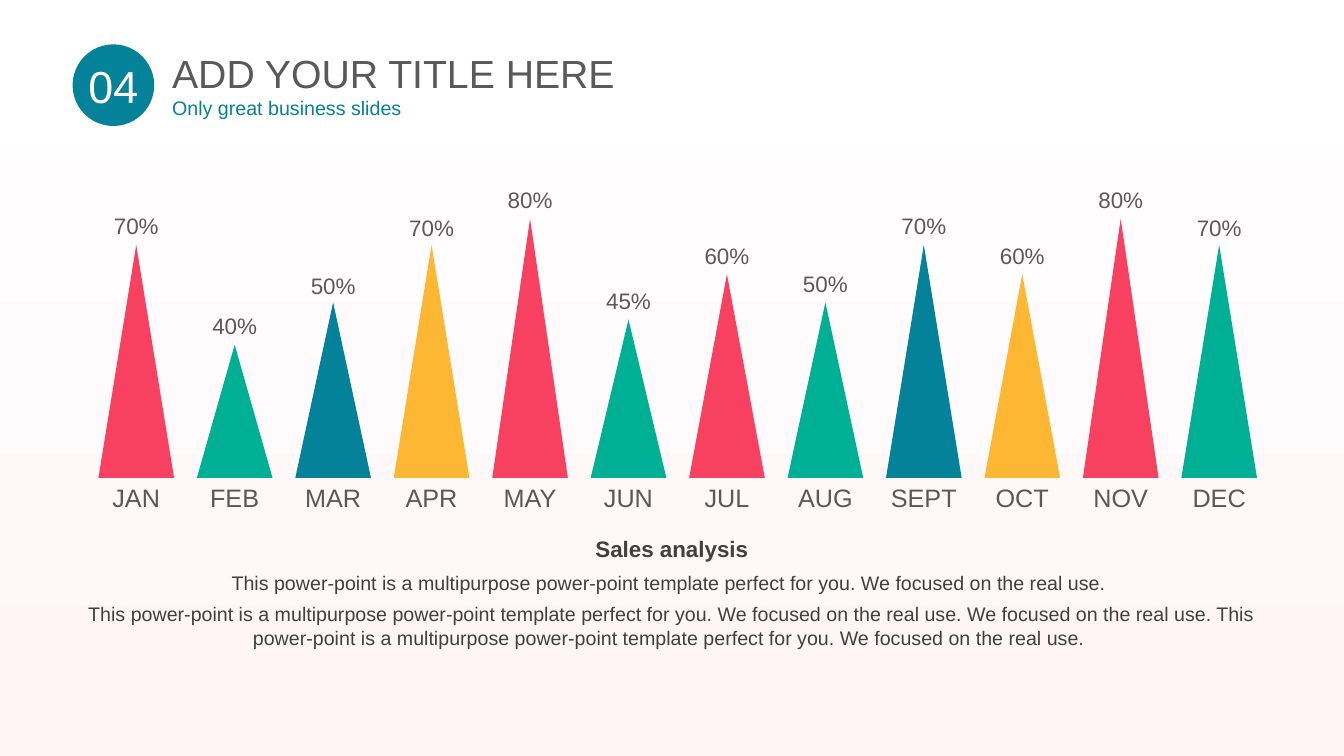
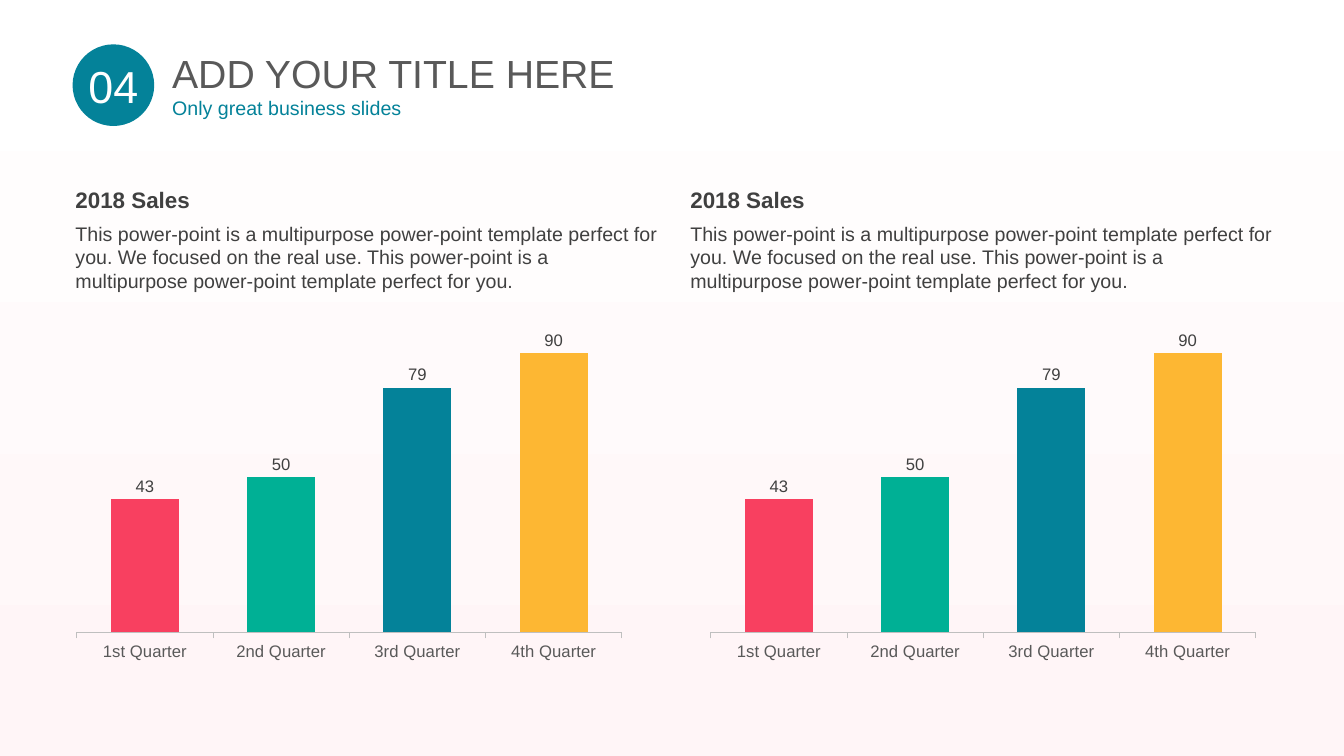
from pptx import Presentation, util as u
from pptx.chart import data
from pptx.dml import color
from pptx.enum import chart as charts, shapes, text

COLORS = {
    "white": "FFFFFF", "blush": "FFF5F7", "red": "F84060", "green": "00B095",
    "blue": "048299", "amber": "FDB733", "gray": "595959", "dark": "404040",
    "axis": "BFBFBF",
}
FONT = "Arial"
COLUMNS, ROWS = 80, 45
LEFT, CENTER = text.PP_ALIGN.LEFT, text.PP_ALIGN.CENTER

HEIGHTS = {40: 7.92, 45: 9.42, 50: 10.44, 60: 12.12, 70: 13.86, 80: 15.42}
MONTHS = [
    ("JAN", 70, "red", 0), ("FEB", 40, "green", 0),
    ("MAR", 50, "blue", 0.12), ("APR", 70, "amber", 0.12),
    ("MAY", 80, "red", 0), ("JUN", 45, "green", 0),
    ("JUL", 60, "red", 0), ("AUG", 50, "green", 0),
    ("SEPT", 70, "blue", 0), ("OCT", 60, "amber", 0),
    ("NOV", 80, "red", 0), ("DEC", 70, "green", 0.12),
]
QUARTERS = [
    ("1st Quarter", 43, "red"), ("2nd Quarter", 50, "green"),
    ("3rd Quarter", 79, "blue"), ("4th Quarter", 90, "amber"),
]
TEMPLATE = "This power-point is a multipurpose power-point template perfect for you."
FOCUS = "We focused on the real use."


def rgb(name):
    return color.RGBColor.from_string(COLORS[name])


class Deck:
    def __init__(self):
        self.presentation = Presentation()
        self.presentation.slide_width = u.Inches(13.33)
        self.presentation.slide_height = u.Inches(7.5)
        self.slide = None
        fill = self.presentation.slide_master.background.fill
        fill.gradient()
        fill.gradient_angle = 270
        for stop, name in zip(fill.gradient_stops, ("white", "blush")):
            stop.color.rgb = rgb(name)

    def place(self, left, top, width, height):
        column = self.presentation.slide_width / COLUMNS
        row = self.presentation.slide_height / ROWS
        return [u.Emu(round(length)) for length in
                (left * column, top * row, width * column, height * row)]

    def style(self, font, size, name, bold=False):
        font.name = FONT
        font.size = u.Pt(size)
        font.bold = bold
        font.color.rgb = rgb(name)

    def add_lines(self, frame, lines, align=LEFT, gap=0):
        for index, (words, size, name, bold) in enumerate(lines):
            paragraph = frame.add_paragraph() if index else frame.paragraphs[0]
            paragraph.alignment = align
            paragraph.space_before = u.Pt(gap if index else 0)
            run = paragraph.add_run()
            run.text = words
            self.style(run.font, size, name, bold)

    def text(self, box, lines, align=LEFT, gap=0):
        frame = self.slide.shapes.add_textbox(*self.place(*box)).text_frame
        frame.word_wrap = True
        self.add_lines(frame, lines, align, gap)

    def shape(self, kind, box, name):
        shape = self.slide.shapes.add_shape(kind, *self.place(*box))
        shape.shadow.inherit = False
        shape.fill.solid()
        shape.fill.fore_color.rgb = rgb(name)
        shape.line.fill.background()
        return shape

    def badge(self, number, box):
        frame = self.shape(shapes.MSO_SHAPE.OVAL, box, "blue").text_frame
        frame.margin_left = frame.margin_right = 0
        frame.margin_top = frame.margin_bottom = 0
        frame.word_wrap = False
        frame.vertical_anchor = text.MSO_ANCHOR.MIDDLE
        self.add_lines(frame, [(number, 32, "white", False)], CENTER)

    def start_slide(self, number, title, subtitle):
        layout = self.presentation.slide_layouts[6]
        self.slide = self.presentation.slides.add_slide(layout)
        self.text((9.66, 2.64, 30.12, 4.86), [(title, 28, "gray", False),
                                              (subtitle, 14, "blue", False)])
        self.badge(number, (4.32, 2.64, 4.86, 4.86))

    def column_chart(self, box, points):
        chart_data = data.CategoryChartData()
        chart_data.categories = [label for label, _, _ in points]
        chart_data.add_series("Series 1", [value for _, value, _ in points])
        chart = self.slide.shapes.add_chart(
            charts.XL_CHART_TYPE.COLUMN_CLUSTERED, *self.place(*box), chart_data).chart
        chart.has_legend = False
        chart.has_title = False
        self.style(chart.font, 11.9, "gray")
        chart.value_axis.visible = False
        chart.value_axis.has_major_gridlines = False
        chart.value_axis.minimum_scale = 0
        chart.value_axis.maximum_scale = 100
        axis = chart.category_axis
        axis.major_tick_mark = charts.XL_TICK_MARK.OUTSIDE
        axis.format.line.color.rgb = rgb("axis")
        axis.format.line.width = u.Pt(0.75)
        self.style(axis.tick_labels.font, 11.9, "gray")
        plot = chart.plots[0]
        plot.vary_by_categories = False
        plot.gap_width = 100
        plot.overlap = -27
        plot.has_data_labels = True
        labels = plot.data_labels
        labels.show_value = True
        labels.position = charts.XL_LABEL_POSITION.OUTSIDE_END
        self.style(labels.font, 11.9, "dark")
        for index, (_, _, name) in enumerate(points):
            fill = plot.series[0].points[index].format.fill
            fill.solid()
            fill.fore_color.rgb = rgb(name)

    def month_peaks(self, months):
        pitch, width, label_width, base = 5.86, 4.5, 6.72, 28.44
        for index, (month, value, name, drop) in enumerate(months):
            left = pitch * (index + 1)
            label_left = left - (label_width - width) / 2
            top = base - HEIGHTS[value]
            self.shape(shapes.MSO_SHAPE.ISOSCELES_TRIANGLE,
                       (left, top, width, HEIGHTS[value]), name)
            self.text((label_left, base, label_width, 2.4),
                      [(month, 18, "gray", False)], CENTER)
            self.text((label_left, top - 2.22 + drop, label_width, 2.22),
                      [(f"{value}%", 16, "gray", False)], CENTER)


def main():
    deck = Deck()
    header = ("04", "ADD YOUR TITLE HERE", "Only great business slides")

    deck.start_slide(*header)
    deck.month_peaks(MONTHS)
    deck.text((3.6, 31.56, 72.78, 7.5), [
        ("Sales analysis", 16, "dark", True),
        (f"{TEMPLATE} {FOCUS} ", 14, "dark", False),
        (f"{TEMPLATE} {FOCUS} {FOCUS} {TEMPLATE} {FOCUS} ", 14, "dark", False),
    ], CENTER, 6)

    deck.start_slide(*header)
    for text_left, chart_left in ((3.9, 3.9), (40.5, 41.64)):
        deck.text((text_left, 10.8, 36.12, 6.96), [
            ("2018 Sales", 16, "dark", True),
            (f"{TEMPLATE} {FOCUS} {TEMPLATE}", 14, "dark", False),
        ], gap=6)
        deck.column_chart((chart_left, 18.78, 33.78, 20.94), QUARTERS)

    deck.presentation.save("out.pptx")


if __name__ == "__main__":
    main()
